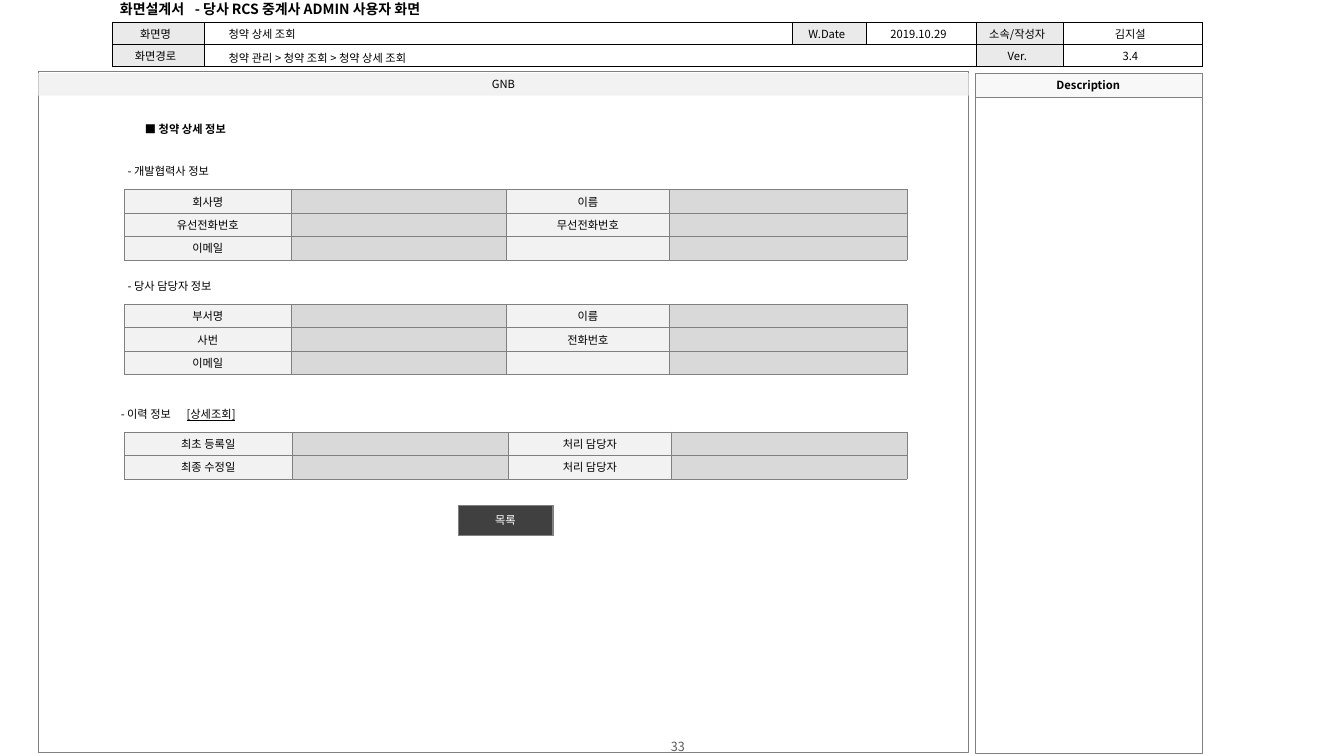
import pptx
import pptx.dml.color
import pptx.enum.shapes
import pptx.enum.text
import pptx.oxml
import pptx.oxml.ns
import pptx.util
from lxml import etree

Pt = pptx.util.Pt
RGBColor = pptx.dml.color.RGBColor
Align = pptx.enum.text.PP_ALIGN
Anchor = pptx.enum.text.MSO_ANCHOR
qn = pptx.oxml.ns.qn

FONT = "Noto Sans CJK KR"
BLACK = RGBColor(0x00, 0x00, 0x00)
WHITE = RGBColor(0xFF, 0xFF, 0xFF)
GRAY = RGBColor(0x80, 0x80, 0x80)
PAGE_GRAY = RGBColor(0x59, 0x59, 0x59)
HEADER_FILL = RGBColor(0xEA, 0xEA, 0xEA)
LABEL_FILL = RGBColor(0xF2, 0xF2, 0xF2)
VALUE_FILL = RGBColor(0xD9, 0xD9, 0xD9)
DESCRIPTION_FILL = RGBColor(0xF8, 0xF8, 0xF8)
BUTTON_FILL = RGBColor(0x40, 0x40, 0x40)

TITLE = "화면설계서\t- 당사 RCS 중계사 ADMIN 사용자 화면"
HEADER = [
    ["화면명", "", "W.Date", "2019.10.29", "소속/작성자", "김지설"],
    ["화면경로", "", "", "", "Ver.", "3.4"],
]
HEADER_COLUMNS = [65.5, 420.5, 52.5, 78.5, 62.6, 99]
CAPTIONS = [
    ("청약 상세 조회", 156.2, 15.8, 226, False),
    ("청약 관리 > 청약 조회 > 청약 상세 조회", 156.2, 33.1, 226, False),
    ("■ 청약 상세 정보", 96.5, 84.2, 94, True),
    ("- 개발협력사 정보", 84.2, 113.8, 102, False),
    ("- 당사 담당자 정보", 84.2, 195.8, 102, False),
]
HISTORY_CAPTION = ("- 이력 정보\t", "[상세조회]")
PARTNER_COLUMNS = [119.3, 153.7, 116.4, 169.6]
HISTORY_COLUMNS = [120, 154.5, 116.2, 168.3]
INFO_TABLES = [
    (135.2, PARTNER_COLUMNS, [["회사명", "이름"], ["유선전화번호", "무선전화번호"], ["이메일", ""]]),
    (217.2, PARTNER_COLUMNS, [["부서명", "이름"], ["사번", "전화번호"], ["이메일", ""]]),
    (308.4, HISTORY_COLUMNS, [["최초 등록일", "처리 담당자"], ["최종 수정일", "처리 담당자"]]),
]
BOXES = [
    ("", 27.4, 51, 664.5, 486, None, GRAY, BLACK, False),
    ("", 696.4, 69.3, 162, 468.7, None, GRAY, BLACK, False),
    ("Description", 696.4, 52.3, 162, 17, DESCRIPTION_FILL, GRAY, BLACK, True),
    ("GNB", 27.4, 52.3, 664.5, 16, LABEL_FILL, None, BLACK, False),
    ("목록", 327.2, 361, 67.6, 21.6, BUTTON_FILL, GRAY, WHITE, False),
]


def style(paragraph, size=8, color=BLACK, bold=False, align=Align.LEFT):
    paragraph.alignment = align
    font = paragraph.font
    font.size = Pt(size)
    font.bold = bold
    font.color.rgb = color
    font.name = FONT
    east_asian = etree.SubElement(paragraph._p.pPr.find(qn("a:defRPr")), qn("a:ea"))
    east_asian.set("typeface", FONT)


def add_tab(paragraph, position):
    tabs = etree.SubElement(paragraph._p.get_or_add_pPr(), qn("a:tabLst"))
    etree.SubElement(tabs, qn("a:tab"), pos=str(Pt(position)), algn="l")


def add_caption(slide, text, left, top, width, bold=False, tab=None):
    frame = slide.shapes.add_textbox(Pt(left), Pt(top), Pt(width), Pt(17)).text_frame
    frame.word_wrap = True
    paragraph = frame.paragraphs[0]
    if tab:
        add_tab(paragraph, tab)
    paragraph.add_run().text = text
    style(paragraph, bold=bold)
    return paragraph


def add_box(slide, text, left, top, width, height, fill, line, color, bold):
    shape = slide.shapes.add_shape(
        pptx.enum.shapes.MSO_SHAPE.RECTANGLE, Pt(left), Pt(top), Pt(width), Pt(height))
    shape.shadow.inherit = False
    if fill is None:
        shape.fill.background()
    else:
        shape.fill.solid()
        shape.fill.fore_color.rgb = fill
    if line is None:
        shape.line.fill.background()
    else:
        shape.line.color.rgb = line
        shape.line.width = Pt(0.25)
    if text:
        frame = shape.text_frame
        frame.margin_top = frame.margin_bottom = 0
        frame.vertical_anchor = Anchor.MIDDLE
        frame.text = text
        style(frame.paragraphs[0], color=color, bold=bold, align=Align.CENTER)


def add_grid(slide, rows, columns, left, top, row_height, fills, border, margins):
    table = slide.shapes.add_table(
        len(rows), len(columns), Pt(left), Pt(top),
        Pt(sum(columns)), Pt(row_height * len(rows))).table
    table.first_row = table.horz_banding = False
    for column, width in zip(table.columns, columns):
        column.width = Pt(width)
    for row, texts in zip(table.rows, rows):
        row.height = Pt(row_height)
        for cell, text, fill in zip(row.cells, texts, fills):
            cell.margin_left, cell.margin_right = map(Pt, margins)
            cell.margin_top = cell.margin_bottom = Pt(1)
            cell.vertical_anchor = Anchor.MIDDLE
            cell.text = text
            paragraph = cell.text_frame.paragraphs[0]
            style(paragraph, align=Align.CENTER)
            if not text:
                paragraph._p.get_or_add_endParaRPr().set("sz", "800")
            properties = cell._tc.get_or_add_tcPr()
            for side in ("lnL", "lnR", "lnT", "lnB"):
                line = etree.SubElement(properties, qn("a:" + side), w=str(Pt(0.25)))
                solid = etree.SubElement(line, qn("a:solidFill"))
                etree.SubElement(solid, qn("a:srgbClr"), val=str(border))
            cell.fill.solid()
            cell.fill.fore_color.rgb = fill
    return table


def main():
    presentation = pptx.Presentation()
    presentation.slide_width, presentation.slide_height = Pt(960), Pt(540)
    slide = presentation.slides.add_slide(presentation.slide_layouts[5])

    title = slide.shapes.title
    title.left, title.top, title.width, title.height = map(Pt, (79.2, -2.9, 250, 18.7))
    frame = title.text_frame
    frame.auto_size = pptx.enum.text.MSO_AUTO_SIZE.NONE
    frame.word_wrap = True
    frame.margin_left = frame.margin_right = Pt(6.5)
    frame.margin_top = frame.margin_bottom = Pt(2.9)
    frame.vertical_anchor = Anchor.MIDDLE
    add_tab(frame.paragraphs[0], 53.5)
    frame.paragraphs[0].add_run().text = TITLE
    style(frame.paragraphs[0], size=10, bold=True)

    for box in BOXES:
        add_box(slide, *box)

    header = add_grid(slide, HEADER, HEADER_COLUMNS, 80.2, 16, 15.8,
                      [HEADER_FILL, WHITE] * 3, BLACK, (2.9, 6.5))
    header.cell(1, 1).merge(header.cell(1, 3))

    for text, left, top, width, bold in CAPTIONS:
        add_caption(slide, text, left, top, width, bold)
    label, link = HISTORY_CAPTION
    history = add_caption(slide, label, 79.2, 287.3, 102, tab=47)
    link_run = history.add_run()
    link_run.text = link
    link_run.font.underline = True

    for top, columns, labels in INFO_TABLES:
        rows = [[first, "", second, ""] for first, second in labels]
        add_grid(slide, rows, columns, 88.8, top, 16.8,
                 [LABEL_FILL, VALUE_FILL] * 2, GRAY, (7.2, 7.2))

    page = slide.shapes.add_textbox(Pt(372.2), Pt(528.5), Pt(224), Pt(9.4)).text_frame
    page.word_wrap = True
    page.margin_top = page.margin_bottom = 0
    page.vertical_anchor = Anchor.MIDDLE
    page.text = "33"
    style(page.paragraphs[0], size=9, color=PAGE_GRAY, align=Align.CENTER)

    presentation.save("out.pptx")


if __name__ == "__main__":
    main()
